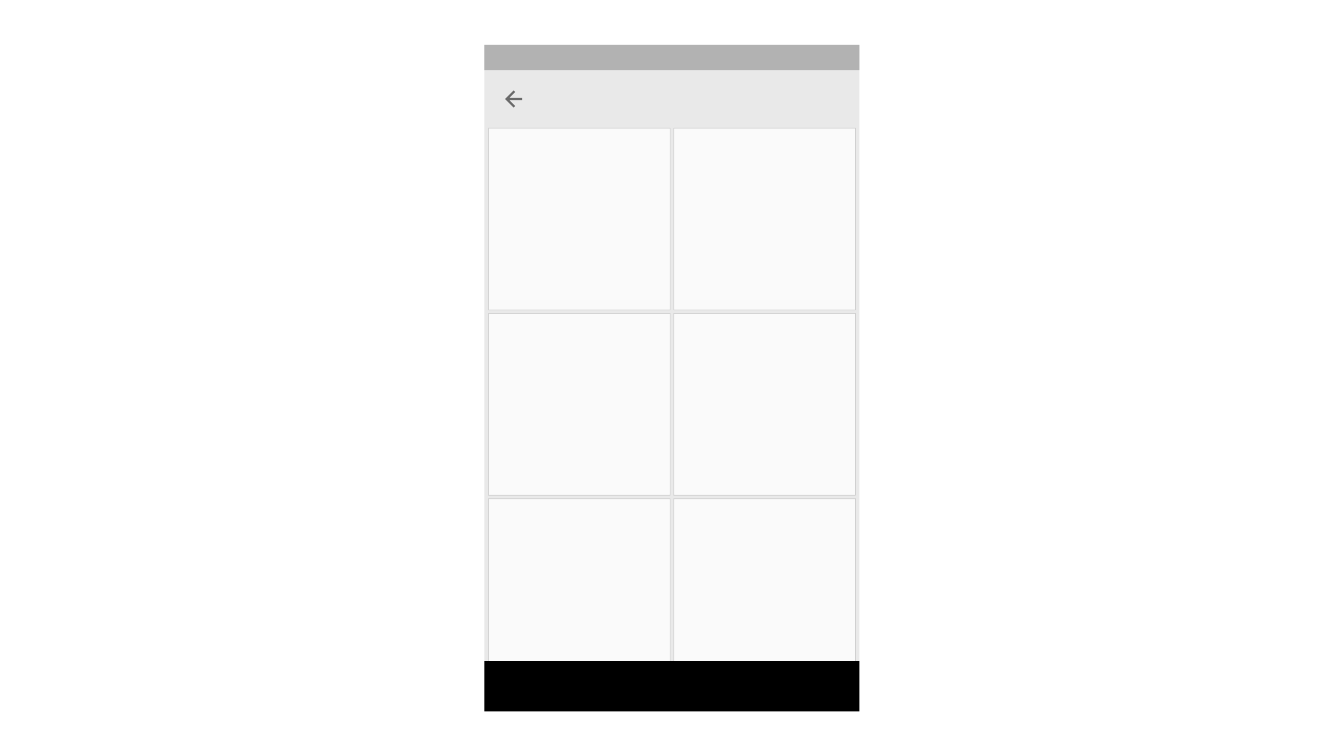
from dataclasses import dataclass
from itertools import product

from lxml.etree import SubElement
from pptx import Presentation
from pptx.dml.color import RGBColor as Rgb
from pptx.enum.shapes import MSO_SHAPE as Preset
from pptx.oxml.ns import qn
from pptx.util import Cm, Pt


@dataclass(frozen=True)
class Theme:
    screen: str = "E9E9E9"
    tile: str = "FAFAFA"
    ink: str = "000000"
    status: str = "B2B2B2"
    tile_line: float = 0.5
    tile_line_opacity: int = 12
    icon_opacity: int = 54


@dataclass(frozen=True)
class Box:
    left: float
    top: float
    width: float
    height: float


THEME = Theme()
ARROW = [(1600, 700), (383, 700), (942, 141), (800, 0), (0, 800),
         (800, 1600), (942, 1459), (383, 900), (1600, 900)]


def paint(fill, color, opacity=100):
    fill.solid()
    fill.fore_color.rgb = Rgb.from_string(color)
    if opacity < 100:
        tone = fill._xPr.find(qn("a:solidFill"))[0]
        SubElement(tone, qn("a:alpha"), val=str(opacity * 1000))


def add_panel(slide, box, color):
    panel = slide.shapes.add_shape(
        Preset.RECTANGLE, Cm(box.left), Cm(box.top), Cm(box.width), Cm(box.height))
    panel.shadow.inherit = False
    paint(panel.fill, color)
    panel.line.fill.background()
    return panel


def add_tiles(slide, box, columns=2, rows=3, gap=0.09):
    side = (box.width - gap * (columns - 1)) / columns
    for row, column in product(range(rows), range(columns)):
        left = box.left + column * (side + gap)
        top = box.top + row * (side + gap)
        tile = add_panel(slide, Box(left, top, side, side), THEME.tile)
        paint(tile.line.fill, THEME.ink, THEME.tile_line_opacity)
        tile.line.width = Pt(THEME.tile_line)


def add_back_arrow(slide, box):
    icon = slide.shapes.add_group_shape()
    builder = icon.shapes.build_freeform(*ARROW[0], scale=Cm(box.width) / 1600)
    builder.add_line_segments(ARROW[1:], close=True)
    arrow = builder.convert_to_shape(Cm(box.left), Cm(box.top))
    arrow.shadow.inherit = False
    paint(arrow.fill, THEME.ink, THEME.icon_opacity)
    arrow.line.fill.background()


def add_phone(slide, box):
    status_height, navigation_height, margin = 0.64, 1.27, 0.1
    add_panel(slide, box, THEME.screen)
    add_tiles(slide, Box(box.left + margin, box.top + 2.1, box.width - 2 * margin, 14))
    add_back_arrow(slide, Box(box.left + 0.52, box.top + 1.15, 0.43, 0.43))
    navigation_top = box.top + box.height - navigation_height
    add_panel(slide, Box(box.left, navigation_top, box.width, navigation_height), THEME.ink)
    add_panel(slide, Box(box.left, box.top, box.width, status_height), THEME.status)


deck = Presentation()
deck.slide_width, deck.slide_height = Cm(33.87), Cm(19.05)
mockup = deck.slides.add_slide(deck.slide_layouts[6])
add_phone(mockup, Box(12.21, 1.13, 9.45, 16.8))
deck.save("out.pptx")
